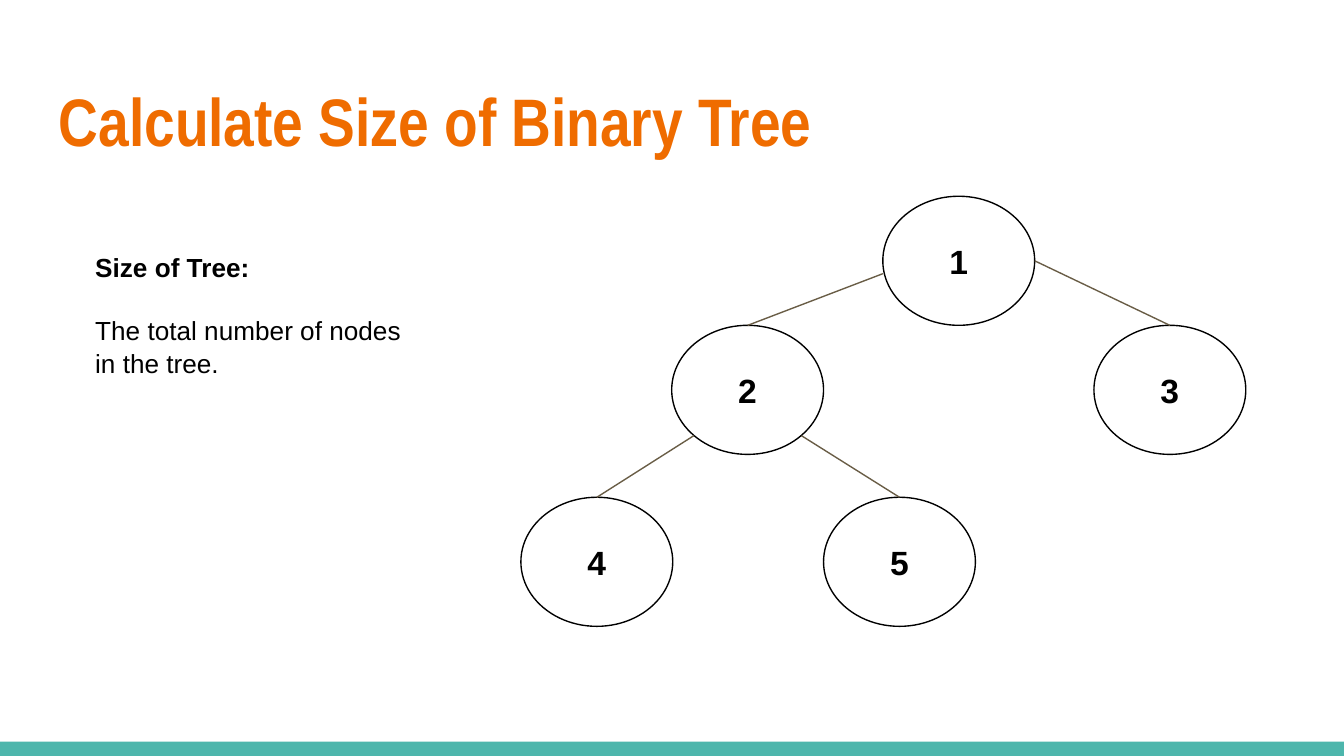
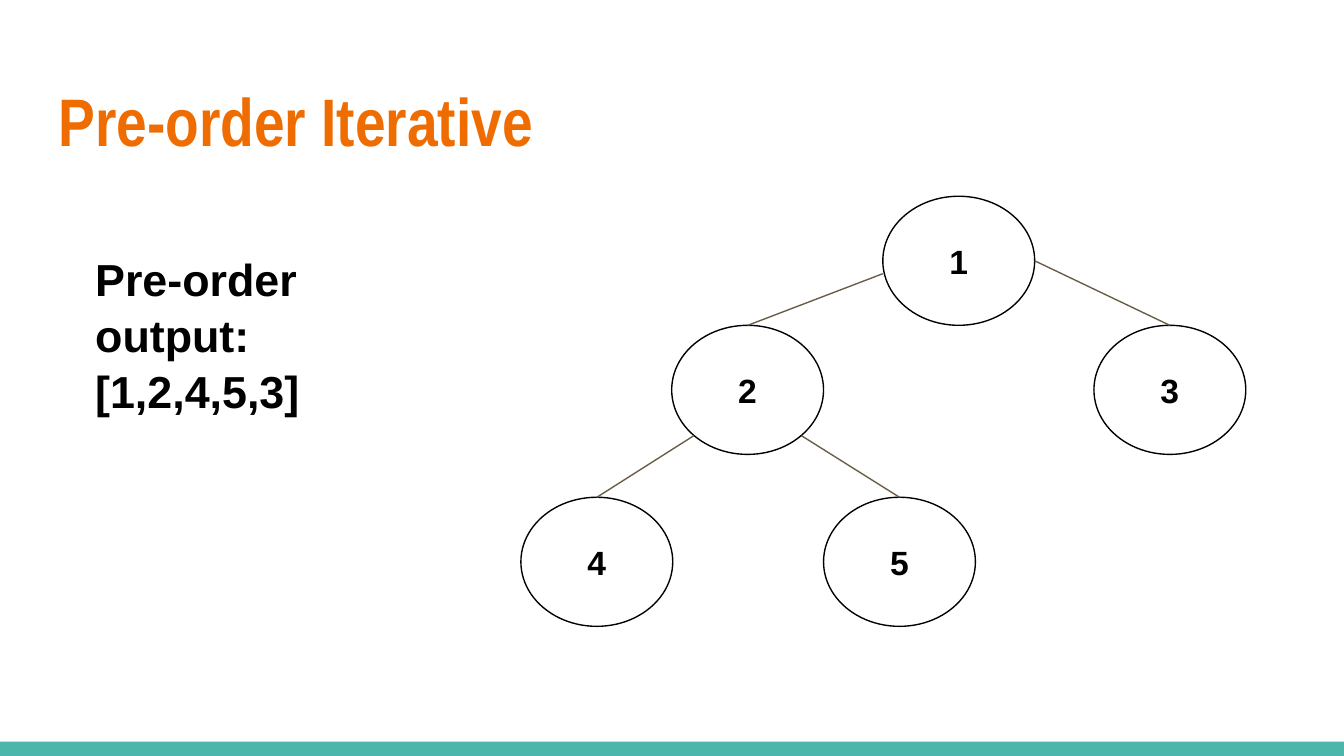
from lxml.etree import SubElement
from pptx import Presentation
from pptx.dml.color import RGBColor
from pptx.enum.shapes import MSO_CONNECTOR, MSO_SHAPE
from pptx.enum.text import MSO_ANCHOR, MSO_AUTO_SIZE, PP_ALIGN
from pptx.oxml.ns import qn
from pptx.util import Cm, Pt

WIDTH, HEIGHT = 25.4, 14.29
BAND_H = 0.27
NODE_W, NODE_H = 2.87, 2.44
INSET = 0.25

# label: centre x, top
NODES = {
    "1": (18.12, 3.71),
    "3": (22.11, 6.15),
    "2": (14.13, 6.15),
    "4": (11.28, 9.4),
    "5": (17.0, 9.4),
}
# parent, child, start point from the parent's centre in radii
EDGES = [
    ("1", "2", -1, 0.2),
    ("2", "4", -0.71, 0.71),
    ("1", "3", 1, 0),
    ("2", "5", 0.71, 0.71),
]


def rgb(value):
    return RGBColor.from_string(value)


class Deck:
    orange, teal, brown = "EF6C00", "4DB6AC", "695D46"
    black, white = "000000", "FFFFFF"
    title_font, font = "Arial Narrow", "Arial"

    def __init__(self):
        self.prs = Presentation()
        self.prs.slide_width = Cm(WIDTH)
        self.prs.slide_height = Cm(HEIGHT)
        self.s = None

    def slide(self, title):
        self.s = self.prs.slides.add_slide(self.prs.slide_layouts[5])
        self.shape(MSO_SHAPE.RECTANGLE, 0, HEIGHT - BAND_H, WIDTH, BAND_H, self.teal)
        self.title(title)

    def title(self, text):
        sp = self.s.shapes.title
        sp.left, sp.top, sp.width, sp.height = Cm(0.86), Cm(1.24), Cm(23.67), Cm(1.96)
        tf = self.frame(sp, MSO_ANCHOR.TOP)
        p = tf.paragraphs[0]
        p.alignment = PP_ALIGN.LEFT
        self.run(p, text, 36, self.orange, font=self.title_font)

    def frame(self, sp, anchor):
        tf = sp.text_frame
        tf.word_wrap = True
        tf.auto_size = MSO_AUTO_SIZE.NONE
        tf.vertical_anchor = anchor
        tf.margin_left = tf.margin_right = tf.margin_top = tf.margin_bottom = Cm(INSET)
        return tf

    def run(self, p, text, size, color, bold=True, font=None):
        r = p.add_run()
        r.text = text
        r.font.name = font or self.font
        r.font.size = Pt(size)
        r.font.bold = bold
        r.font.color.rgb = rgb(color)

    def shape(self, kind, x, y, w, h, fill, line=None):
        sp = self.s.shapes.add_shape(kind, Cm(x), Cm(y), Cm(w), Cm(h))
        sp.shadow.inherit = False
        sp.fill.solid()
        sp.fill.fore_color.rgb = rgb(fill)
        if line:
            sp.line.color.rgb = rgb(line)
            sp.line.width = Pt(0.75)
        else:
            sp.line.fill.background()
        return sp

    def node(self, label, x, y):
        sp = self.shape(MSO_SHAPE.OVAL, x - NODE_W / 2, y, NODE_W, NODE_H,
                        self.white, self.black)
        p = self.frame(sp, MSO_ANCHOR.MIDDLE).paragraphs[0]
        p.alignment = PP_ALIGN.CENTER
        self.run(p, label, 18, self.black)
        return sp

    def edge(self, x, y, child):
        """Draw a line from a point to the top of the child node."""
        line = self.s.shapes.add_connector(
            MSO_CONNECTOR.STRAIGHT, Cm(x), Cm(y), Cm(x), Cm(y))
        line.end_connect(child, 0)
        line.line.color.rgb = rgb(self.brown)
        line.line.width = Pt(0.75)
        SubElement(line._element.spPr, qn("a:effectLst"))

    def tree(self):
        ovals = {label: self.node(label, x, y) for label, (x, y) in NODES.items()}
        for parent, child, dx, dy in EDGES:
            x, y = NODES[parent]
            self.edge(x + dx * NODE_W / 2, y + (1 + dy) * NODE_H / 2, ovals[child])

    def text(self, paragraphs, size, gap=0):
        """Add the side text from (text, bold) pairs, gap points apart."""
        sp = self.s.shapes.add_textbox(Cm(1.55), Cm(4.47), Cm(6.76), Cm(8.46))
        tf = self.frame(sp, MSO_ANCHOR.TOP)
        for i, (text, bold) in enumerate(paragraphs):
            p = tf.add_paragraph() if i else tf.paragraphs[0]
            p.line_spacing = 1.04
            p.space_before = Pt(gap if i else 0)
            self.run(p, text, size, self.black, bold)


def main():
    deck = Deck()

    deck.slide("Calculate Size of Binary Tree")
    deck.tree()
    deck.text([("Size of Tree:", True),
               ("The total number of nodes in the tree.", False)], 14, gap=16.8)

    deck.slide("Pre-order Iterative")
    deck.tree()
    deck.text([("Pre-order output:", True), ("[1,2,4,5,3]", True)], 24)

    deck.prs.save("out.pptx")


if __name__ == "__main__":
    main()
